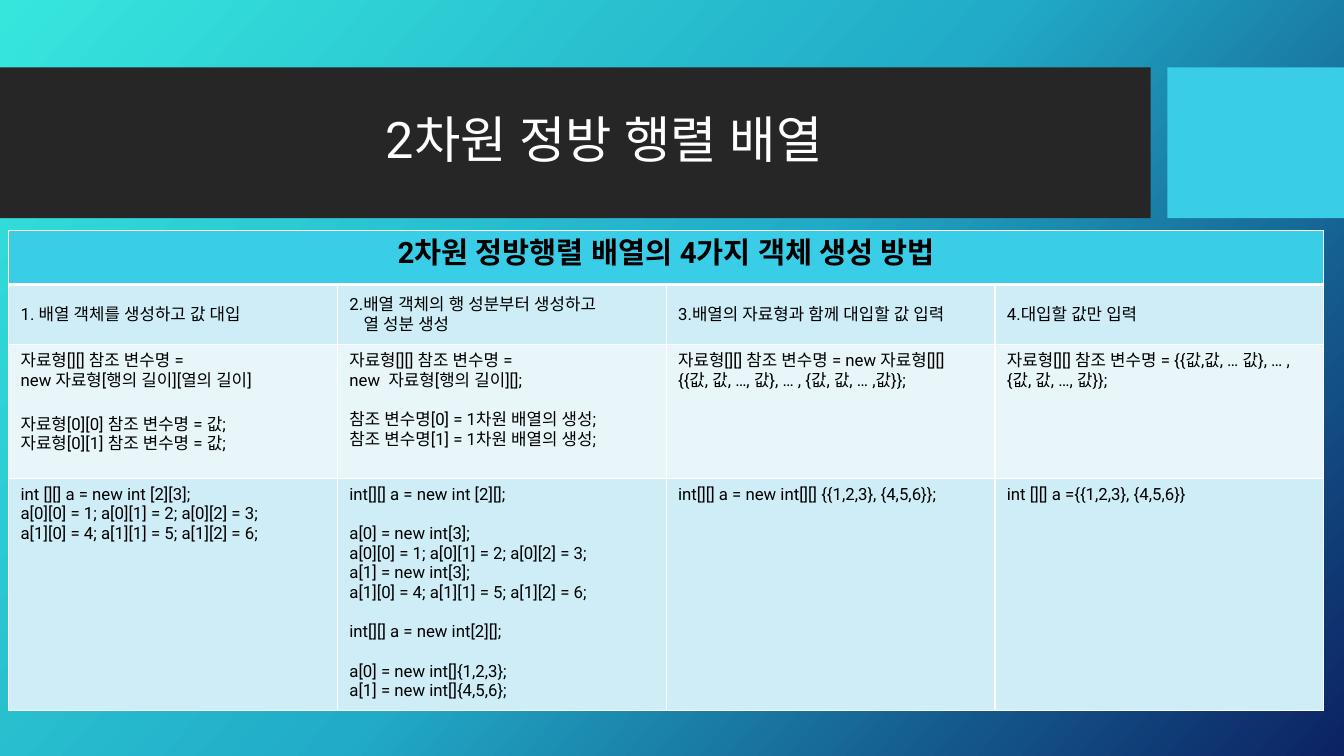
from copy import deepcopy

from lxml.etree import SubElement
from pptx import Presentation
from pptx.dml.color import RGBColor
from pptx.enum.shapes import MSO_SHAPE
from pptx.enum.text import MSO_ANCHOR, PP_ALIGN
from pptx.oxml.ns import qn
from pptx.util import Cm, Pt

FONT = "Roboto"
BACKGROUND = ["36E6DD", "21ABC8", "0C2263"]
ACCENT, DARK, WHITE, BLACK = "39CDE7", "262626", "FFFFFF", "000000"
BAND, LIGHT_BAND = "CEEDF6", "E8F6FA"
HEADING = "2차원 정방행렬 배열의 4가지 객체 생성 방법"

# A number is a gap in points above the next line; a leading tab is an indent.
ROWS = [
    (1.52, BAND, [
        ["1. 배열 객체를 생성하고 값 대입"],
        ["2.배열 객체의 행 성분부터 생성하고", "\t열 성분 생성"],
        ["3.배열의 자료형과 함께 대입할 값 입력"],
        ["4.대입할 값만 입력"],
    ]),
    (3.37, LIGHT_BAND, [
        ["자료형[][] 참조 변수명 =", "new 자료형[행의 길이][열의 길이]", 17.5,
         "자료형[0][0] 참조 변수명 = 값;", "자료형[0][1] 참조 변수명 = 값;"],
        ["자료형[][] 참조 변수명 =", "new  자료형[행의 길이][];", 14,
         "참조 변수명[0] = 1차원 배열의 생성;", "참조 변수명[1] = 1차원 배열의 생성;"],
        ["자료형[][] 참조 변수명 = new 자료형[][]",
         "{{값, 값, …, 값}, … , {값, 값, … ,값}};"],
        ["자료형[][] 참조 변수명 = {{값,값, … 값}, … , {값, 값, …, 값}};"],
    ]),
    (5.77, BAND, [
        ["int [][] a = new int [2][3];",
         "a[0][0] = 1; a[0][1] = 2; a[0][2] = 3;",
         "a[1][0] = 4; a[1][1] = 5; a[1][2] = 6;"],
        ["int[][] a = new int [2][];", 14,
         "a[0] = new int[3];", "a[0][0] = 1; a[0][1] = 2; a[0][2] = 3;",
         "a[1] = new int[3];", "a[1][0] = 4; a[1][1] = 5; a[1][2] = 6;", 14,
         "int[][] a = new int[2][];", 14,
         "a[0] = new int[]{1,2,3};", "a[1] = new int[]{4,5,6};"],
        ["int[][] a = new int[][] {{1,2,3}, {4,5,6}};"],
        ["int [][] a ={{1,2,3}, {4,5,6}}"],
    ]),
]


def rgb(color):
    return RGBColor.from_string(color)


def set_font(p, size, color, bold=False):
    p.font.name, p.font.size, p.font.bold = FONT, Pt(size), bold
    p.font.color.rgb = rgb(color)
    latin = p._p.find(".//" + qn("a:latin"))
    SubElement(latin.getparent(), qn("a:ea"), typeface=FONT)


def add_background(s):
    fill = s.background.fill
    fill.gradient()
    fill.gradient_angle = 318
    first = s.element.find(".//" + qn("a:gs"))
    first.addnext(deepcopy(first))
    for i, (stop, color) in enumerate(zip(fill.gradient_stops, BACKGROUND)):
        stop.position = i / 2
        stop.color.rgb = rgb(color)


def add_block(s, left, top, width, height, color):
    sp = s.shapes.add_shape(MSO_SHAPE.RECTANGLE, Cm(left), Cm(top), Cm(width), Cm(height))
    sp.shadow.inherit = False
    sp.fill.solid()
    sp.fill.fore_color.rgb = rgb(color)
    sp.line.fill.background()


def add_title_band(s, top, width, height):
    accent_width, gap = 4.45, 0.42
    dark_width = width - accent_width - gap
    add_block(s, 0, top, dark_width, height, DARK)
    add_block(s, width - accent_width, top, accent_width, height, ACCENT)
    box = s.shapes.add_textbox(Cm(1.88), Cm(top + 0.38), Cm(26.7), Cm(3))
    tf = box.text_frame
    tf.word_wrap, tf.vertical_anchor = True, MSO_ANCHOR.MIDDLE
    p = tf.paragraphs[0]
    p.text, p.alignment, p.line_spacing = "2차원 정방 행렬 배열", PP_ALIGN.CENTER, 0.9
    set_font(p, 36, WHITE)


def style_cell(cell, color, top=1, bottom=1):
    cell.margin_left = cell.margin_right = Cm(0.3)
    cell.margin_top = cell.margin_bottom = Cm(0.15)
    cell.fill.solid()
    cell.fill.fore_color.rgb = rgb(color)
    tc_pr = cell._tc.get_or_add_tcPr()
    for i, (side, width) in enumerate(zip("LRTB", (1, 1, top, bottom))):
        ln = SubElement(tc_pr, qn("a:ln" + side), w=str(Pt(width)))
        SubElement(SubElement(ln, qn("a:solidFill")), qn("a:srgbClr"), val=WHITE)
        tc_pr.insert(i, ln)


def write_lines(tf, lines):
    gap, p = 0, tf.paragraphs[0]
    for i, line in enumerate(lines):
        if not isinstance(line, str):
            gap = line
            continue
        if i:
            p = tf.add_paragraph()
        p.text = line.lstrip("\t")
        set_font(p, 12, BLACK)
        if line.startswith("\t"):
            p._p.get_or_add_pPr().set("marL", str(Cm(0.36)))
        if gap:
            p.space_before = Pt(gap)
            gap = 0


def add_methods_table(s, left, top, width):
    header_height = 1.37
    height = header_height + sum(row[0] for row in ROWS)
    table = s.shapes.add_table(len(ROWS) + 1, 4, Cm(left), Cm(top), Cm(width), Cm(height)).table
    table.first_row = table.horz_banding = False
    table.rows[0].height = Cm(header_height)
    for cell in table.rows[0].cells:
        style_cell(cell, ACCENT, bottom=3)
    header = table.cell(0, 0)
    header.merge(table.cell(0, 3))
    p = header.text_frame.paragraphs[0]
    p.text, p.alignment = HEADING, PP_ALIGN.CENTER
    set_font(p, 21, BLACK, True)
    for r, (row_height, color, texts) in enumerate(ROWS, 1):
        table.rows[r].height = Cm(row_height)
        for cell, lines in zip(table.rows[r].cells, texts):
            style_cell(cell, color, top=3 if r == 1 else 1)
            cell.vertical_anchor = MSO_ANCHOR.MIDDLE if r == 1 else MSO_ANCHOR.TOP
            write_lines(cell.text_frame, lines)


def main():
    prs = Presentation()
    prs.slide_width, prs.slide_height = Cm(33.87), Cm(19.05)
    s = prs.slides.add_slide(prs.slide_layouts[6])
    add_background(s)
    add_title_band(s, 1.7, 33.87, 3.8)
    add_methods_table(s, 0.22, 5.8, 33.14)
    prs.save("out.pptx")


if __name__ == "__main__":
    main()
